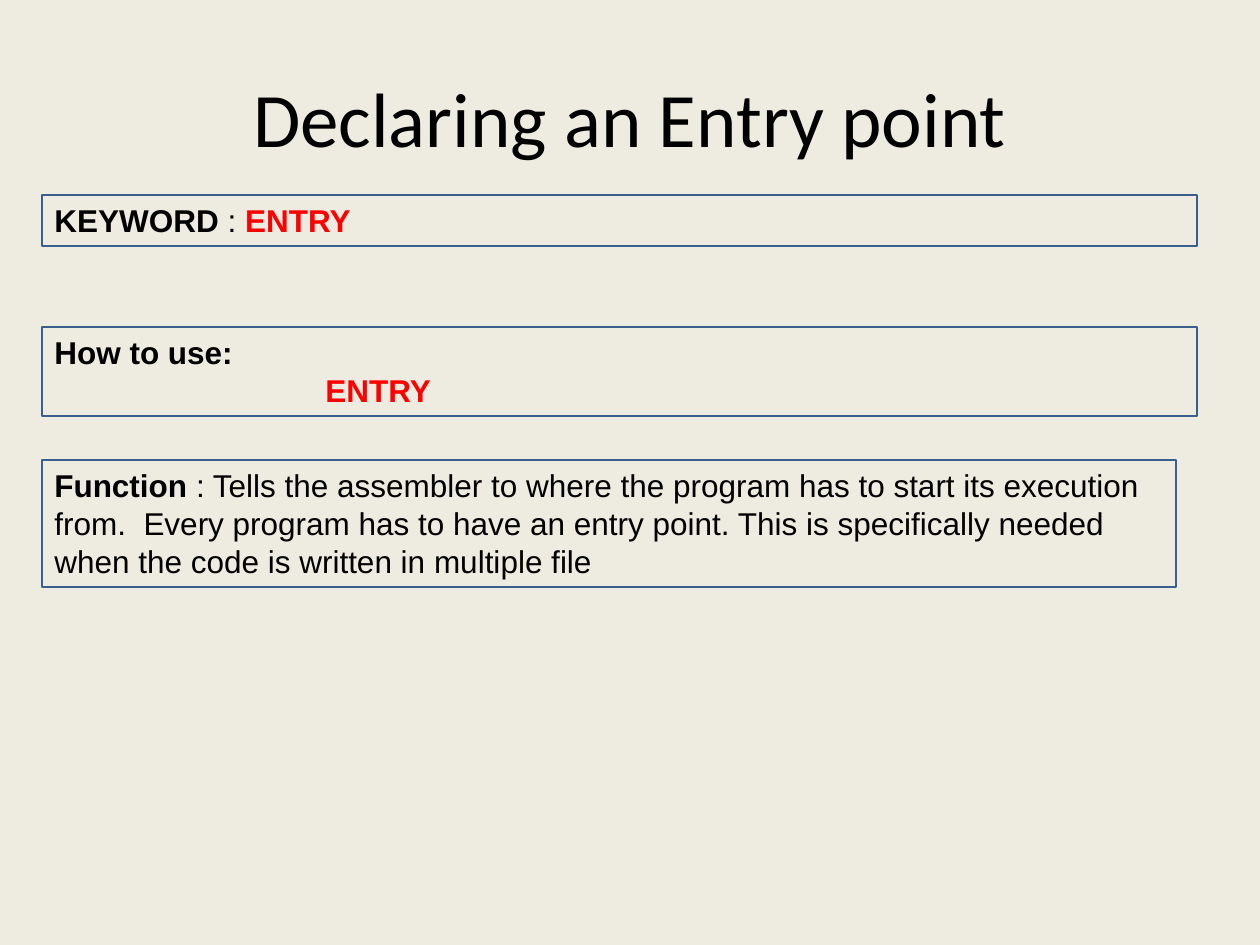
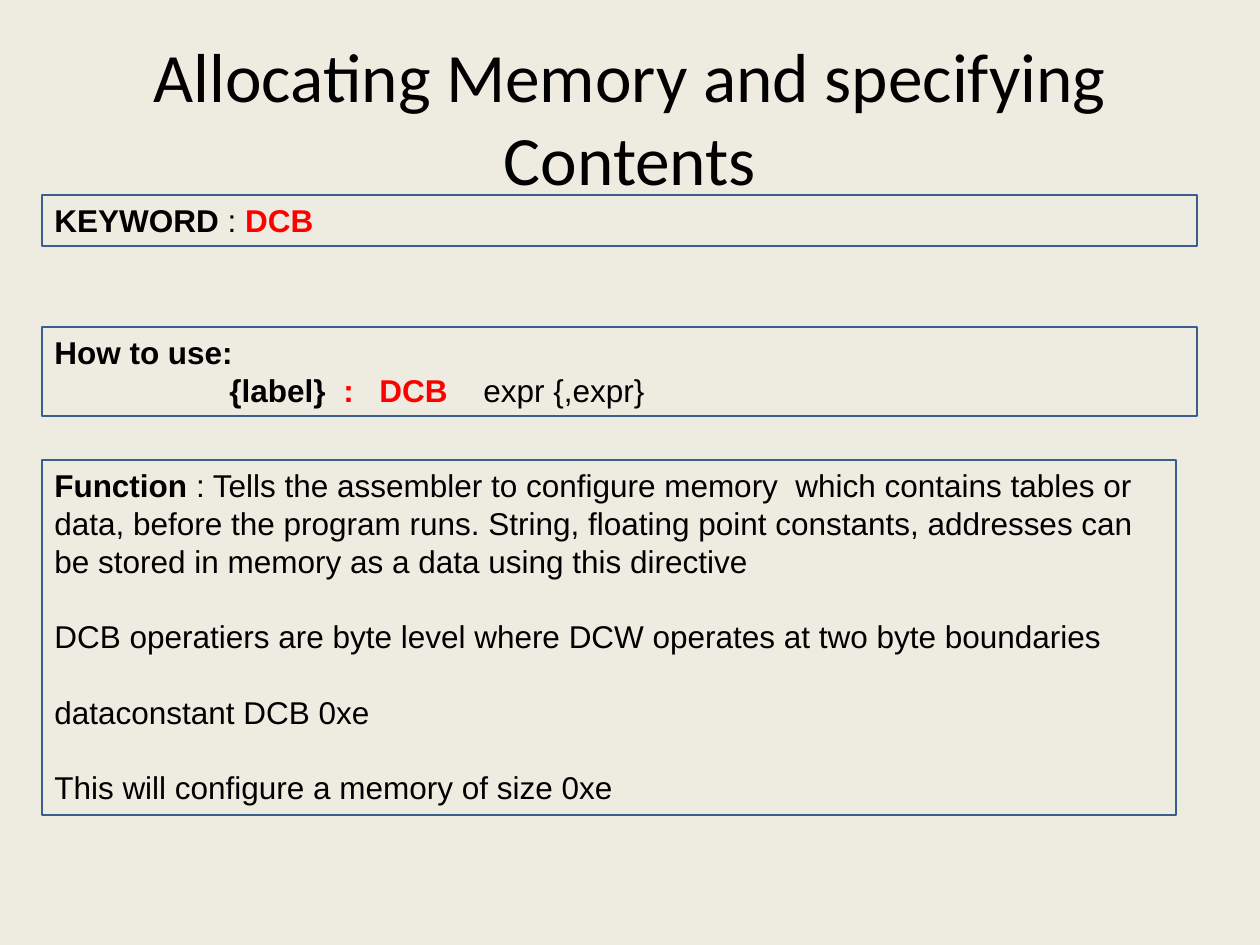
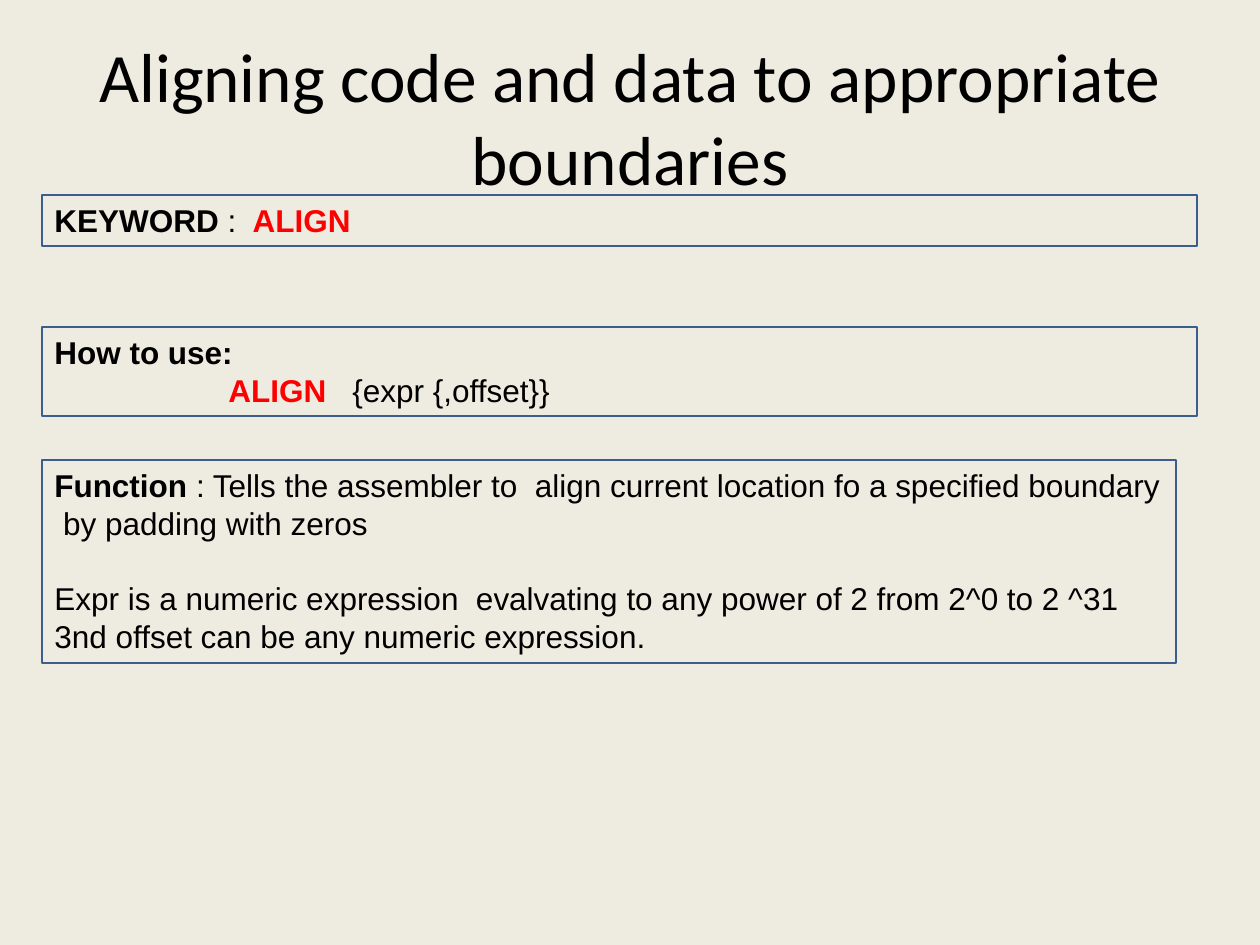
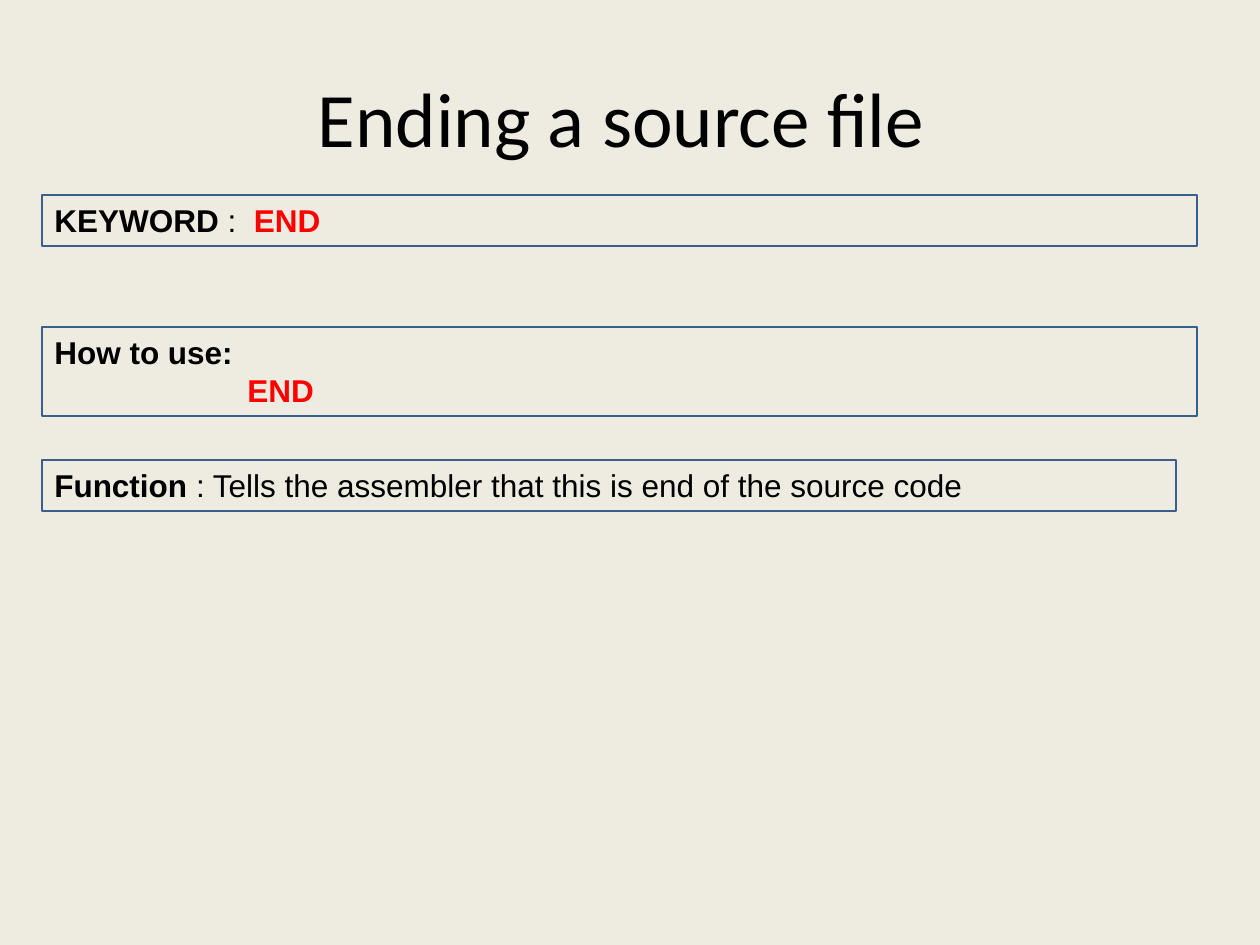
from dataclasses import dataclass

from lxml.etree import SubElement
from pptx import Presentation
from pptx.dml.color import RGBColor
from pptx.enum.shapes import MSO_SHAPE
from pptx.enum.text import MSO_ANCHOR as Anchor, MSO_AUTO_SIZE as AutoSize, PP_ALIGN as Align
from pptx.oxml.ns import qn
from pptx.util import Emu, Pt

PX = 914400 // 126


@dataclass(frozen=True)
class Theme:
    background: RGBColor = RGBColor(0xEE, 0xEC, 0xE1)
    text: RGBColor = RGBColor(0x00, 0x00, 0x00)
    keyword: RGBColor = RGBColor(0xFF, 0x00, 0x00)
    border: RGBColor = RGBColor(0x3A, 0x5F, 0x8C)
    title_font: str = "Calibri"
    body_font: str = "Arial"
    title_size: float = 44
    long_title_size: float = 39.6
    body_size: float = 18
    paragraph_gap: float = 21.5
    border_width: float = 0.75


@dataclass(frozen=True)
class Frame:
    left: int
    top: int
    width: int
    height: int

    def emu(self) -> tuple[Emu, ...]:
        return tuple(Emu(px * PX) for px in (self.left, self.top, self.width, self.height))


@dataclass(frozen=True)
class Piece:
    """A stretch of text; a tab stop in px places it on its line."""
    text: str
    bold: bool = False
    keyword: bool = False
    tab: int | None = None


@dataclass(frozen=True)
class Directive:
    title: str
    keyword: str
    usage: list[Piece]
    function: list[str]
    function_lines: int
    long_title: bool = False


THEME = Theme()
SLIDE_WIDTH, SLIDE_HEIGHT = 1260, 945
TITLE_FRAME = Frame(63, 38, 1134, 157)
BOX_LEFT = 42
WIDE_BOX, FUNCTION_BOX = 1155, 1134
KEYWORD_TOP, USAGE_TOP, FUNCTION_TOP = 195, 327, 460
LINE_HEIGHT, BOX_PADDING = 38, 13

DIRECTIVES = [
    Directive(
        "Declaring an Entry point",
        "ENTRY",
        [Piece("ENTRY", True, True, 271)],
        ["Tells the assembler to where the program has to start its execution from.  "
         "Every program has to have an entry point. This is specifically needed when "
         "the code is written in multiple file"],
        function_lines=3,
    ),
    Directive(
        "Allocating Memory and specifying Contents",
        "DCB",
        [Piece("{label}", True, False, 175), Piece(":", True, True, 289),
         Piece("DCB", True, True, 325), Piece("expr {,expr}", tab=429)],
        ["Tells the assembler to configure memory  which contains tables or data, before "
         "the program runs. String, floating point constants, addresses can be stored in "
         "memory as a data using this directive",
         "DCB operatiers are byte level where DCW operates at two byte boundaries",
         "dataconstant DCB 0xe",
         "This will configure a memory of size 0xe"],
        function_lines=9,
        long_title=True,
    ),
    Directive(
        "Aligning code and data to appropriate boundaries",
        " ALIGN",
        [Piece("ALIGN", True, True, 174), Piece("{expr {,offset}}", tab=298)],
        ["Tells the assembler to  align current location fo a specified boundary  "
         "by padding with zeros",
         "Expr is a numeric expression  evalvating to any power of 2 from 2^0 to 2 ^31 "
         "3nd offset can be any numeric expression."],
        function_lines=5,
        long_title=True,
    ),
    Directive(
        "Ending a source file ",
        " END",
        [Piece("END", True, True, 193)],
        ["Tells the assembler that this is end of the source code"],
        function_lines=1,
    ),
]


def add_run(paragraph, text: str, font_name: str, size: float, color: RGBColor,
            bold: bool = False) -> None:
    run = paragraph.add_run()
    run.text = text
    run.font.name = font_name
    run.font.size = Pt(size)
    run.font.bold = bold
    run.font.color.rgb = color


def set_tab_stops(paragraph, stops: list[int]) -> None:
    tab_list = SubElement(paragraph._p.get_or_add_pPr(), qn("a:tabLst"))
    for stop in stops:
        SubElement(tab_list, qn("a:tab"), pos=str(stop * PX), algn="l")


def add_pieces(paragraph, pieces: list[Piece]) -> None:
    stops = [piece.tab for piece in pieces if piece.tab is not None]
    if stops:
        set_tab_stops(paragraph, stops)
    for piece in pieces:
        text = piece.text if piece.tab is None else "\t" + piece.text
        color = THEME.keyword if piece.keyword else THEME.text
        add_run(paragraph, text, THEME.body_font, THEME.body_size, color, piece.bold)


def add_title(slide, directive: Directive) -> None:
    title = slide.shapes.title
    title.left, title.top, title.width, title.height = TITLE_FRAME.emu()
    text_frame = title.text_frame
    text_frame.auto_size = AutoSize.NONE
    text_frame.vertical_anchor = Anchor.MIDDLE
    paragraph = text_frame.paragraphs[0]
    paragraph.alignment = Align.CENTER
    size = THEME.long_title_size if directive.long_title else THEME.title_size
    add_run(paragraph, directive.title, THEME.title_font, size, THEME.text)


def add_box(slide, top: int, width: int, lines: int, paragraphs: list[list[Piece]],
            gap: float = 0) -> None:
    """Draw an outlined box tall enough for its lines, with a gap between paragraphs."""
    frame = Frame(BOX_LEFT, top, width, BOX_PADDING + LINE_HEIGHT * lines)
    box = slide.shapes.add_shape(MSO_SHAPE.RECTANGLE, *frame.emu())
    box.shadow.inherit = False
    box.fill.background()
    box.line.color.rgb = THEME.border
    box.line.width = Pt(THEME.border_width)
    text_frame = box.text_frame
    text_frame.word_wrap = True
    text_frame.auto_size = AutoSize.SHAPE_TO_FIT_TEXT
    text_frame.vertical_anchor = Anchor.TOP
    for index, pieces in enumerate(paragraphs):
        paragraph = text_frame.add_paragraph() if index else text_frame.paragraphs[0]
        paragraph.alignment = Align.LEFT
        paragraph.space_before = Pt(gap if index else 0)
        add_pieces(paragraph, pieces)


def add_directive_slide(presentation, directive: Directive) -> None:
    slide = presentation.slides.add_slide(presentation.slide_layouts.get_by_name("Title Only"))
    add_title(slide, directive)
    keyword = [Piece("KEYWORD", True), Piece(" : "), Piece(directive.keyword, True, True)]
    add_box(slide, KEYWORD_TOP, WIDE_BOX, 1, [keyword])
    add_box(slide, USAGE_TOP, WIDE_BOX, 2, [[Piece("How to use:", True)], directive.usage])
    summary, *details = directive.function
    function = [[Piece("Function", True), Piece(" : " + summary)]]
    function += [[Piece(detail)] for detail in details]
    add_box(slide, FUNCTION_TOP, FUNCTION_BOX, directive.function_lines, function,
            THEME.paragraph_gap)


def main() -> None:
    presentation = Presentation()
    presentation.slide_width = Emu(SLIDE_WIDTH * PX)
    presentation.slide_height = Emu(SLIDE_HEIGHT * PX)
    background = presentation.slide_master.background.fill
    background.solid()
    background.fore_color.rgb = THEME.background
    for directive in DIRECTIVES:
        add_directive_slide(presentation, directive)
    presentation.save("out.pptx")


if __name__ == "__main__":
    main()
